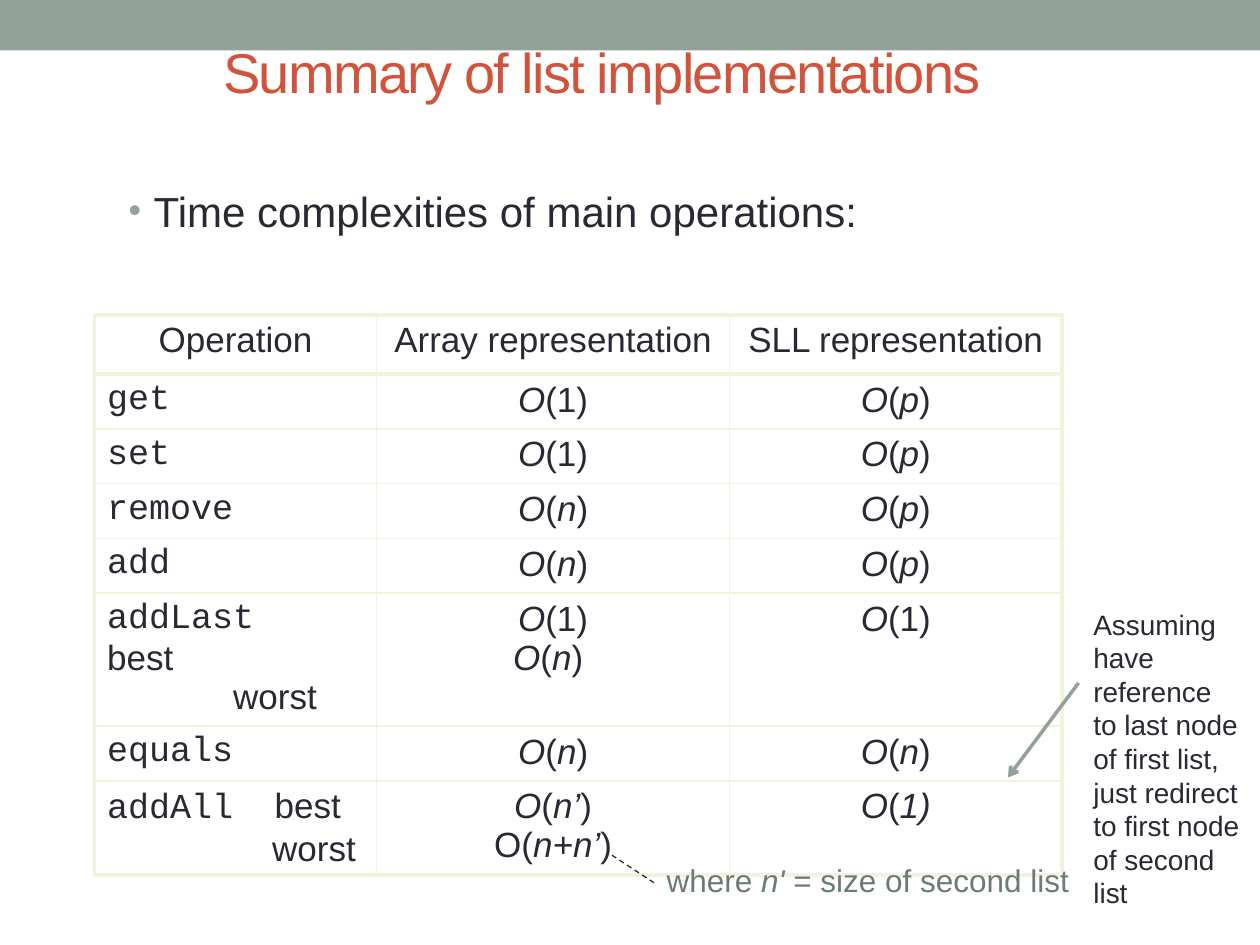
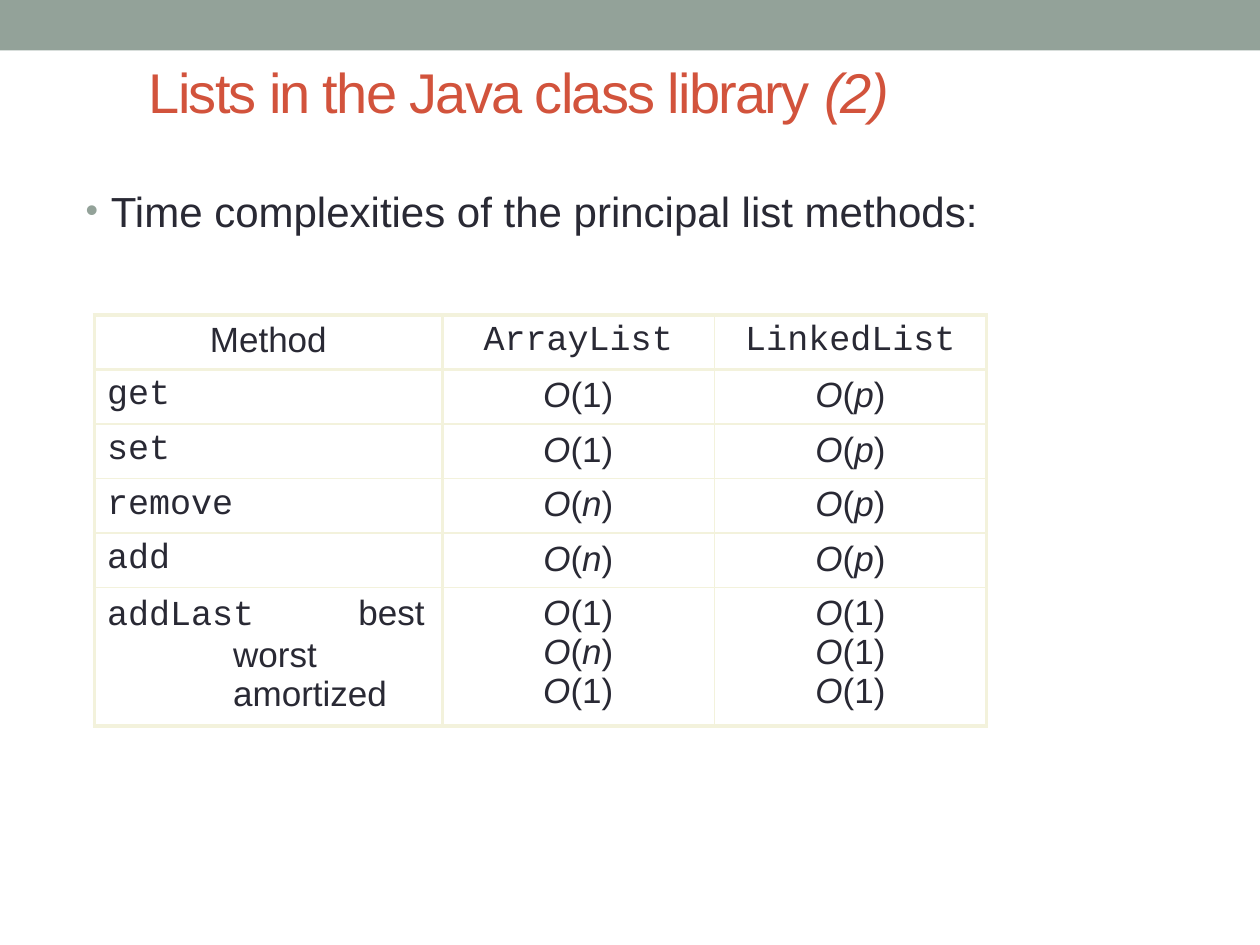
from collections import namedtuple

from lxml import etree
from pptx import Presentation
from pptx.dml.color import RGBColor
from pptx.enum.dml import MSO_LINE
from pptx.enum.shapes import MSO_CONNECTOR, MSO_SHAPE
from pptx.enum.text import MSO_ANCHOR, MSO_AUTO_SIZE, PP_ALIGN
from pptx.oxml.ns import qn
from pptx.util import Emu, Inches, Pt

RECTANGLE = MSO_SHAPE.RECTANGLE
CALLOUT = MSO_SHAPE.LINE_CALLOUT_1_NO_BORDER
STRAIGHT = MSO_CONNECTOR.STRAIGHT
DASH = MSO_LINE.DASH
LEFT, CENTER = PP_ALIGN.LEFT, PP_ALIGN.CENTER
TOP, MIDDLE = MSO_ANCHOR.TOP, MSO_ANCHOR.MIDDLE
NO_AUTOFIT = MSO_AUTO_SIZE.NONE

SANS, MONO = "Arial", "Courier New"
INK, ACCENT, SAGE = "292934", "D2533C", "93A299"
MOSS, RULE, WHITE = "6B7D72", "F3F2DC", "FFFFFF"
THICK, THIN = 2.25, 1

# A line of text with one tab stop, in inches from the text's left edge
Tabbed = namedtuple("Tabbed", "text stop side")


def rgb(hex_code):
    return RGBColor.from_string(hex_code)


def add_xml(parent, tag, **attributes):
    return etree.SubElement(parent, qn(tag), attributes)


class Deck:
    """Holds the style and the current slide; the grid has 100 columns and 75 rows."""

    def __init__(self):
        self.show = Presentation()
        self.show.slide_width, self.show.slide_height = Inches(10), Inches(7.5)
        self.column = self.show.slide_width / 100
        self.row = self.show.slide_height / 75
        self.slide = None

    def place(self, left, top, width, height):
        return (Emu(round(left * self.column)), Emu(round(top * self.row)),
                Emu(round(width * self.column)), Emu(round(height * self.row)))

    def start_slide(self):
        self.slide = self.show.slides.add_slide(self.show.slide_layouts[1])
        band = self.shape(RECTANGLE, 0, 0, 100, 4)
        band.fill.solid()
        band.fill.fore_color.rgb = rgb(SAGE)
        band.line.fill.background()

    def shape(self, kind, *box):
        shape = self.slide.shapes.add_shape(kind, *self.place(*box))
        shape.shadow.inherit = False
        return shape

    def add_runs(self, paragraph, text, size, color=INK, spacing=None):
        """Adds runs; `...` marks code and *...* marks italics."""
        for i, part in enumerate(text.split("`")):
            for j, piece in enumerate(part.split("*")):
                if not piece:
                    continue
                run = paragraph.add_run()
                run.text = piece
                run.font.name = MONO if i % 2 else SANS
                run.font.size = Pt(size)
                run.font.italic = bool(j % 2)
                run.font.color.rgb = rgb(color)
                if spacing:
                    run._r.get_or_add_rPr().set("spc", str(spacing * 100))

    def fill_placeholder(self, holder, box, anchor):
        holder.left, holder.top, holder.width, holder.height = self.place(*box)
        frame = holder.text_frame
        frame.auto_size = NO_AUTOFIT
        frame.vertical_anchor = anchor
        paragraph = frame.paragraphs[0]
        paragraph.alignment = LEFT
        paragraph.space_before = Pt(0)
        return paragraph

    def title(self, text, left, top):
        paragraph = self.fill_placeholder(
            self.slide.shapes.title, (left, top, 67.2, 7.9), MIDDLE)
        self.add_runs(paragraph, text, 32, ACCENT, spacing=-1)

    def bullet(self, text, left):
        paragraph = self.fill_placeholder(
            self.slide.placeholders[1], (left, 14.2, 78.8, 50.4), TOP)
        properties = paragraph._p.get_or_add_pPr()
        properties.set("marL", str(Inches(0.2)))
        properties.set("indent", str(-Inches(0.2)))
        add_xml(add_xml(properties, "a:buClr"), "a:srgbClr", val=SAGE)
        add_xml(properties, "a:buSzPct", val="85000")
        add_xml(properties, "a:buFont", typeface=SANS)
        add_xml(properties, "a:buChar", char="•")
        self.add_runs(paragraph, text, 24)

    def cell(self, cell, lines, alignment, borders):
        properties = cell._tc.get_or_add_tcPr()
        for side, width in borders.items():
            line = add_xml(properties, "a:ln" + side, w=str(Pt(width)))
            add_xml(add_xml(line, "a:solidFill"), "a:srgbClr", val=RULE)
        cell.fill.solid()
        cell.fill.fore_color.rgb = rgb(WHITE)
        cell.vertical_anchor = TOP
        frame = cell.text_frame
        for i, line in enumerate(lines):
            paragraph = frame.add_paragraph() if i else frame.paragraphs[0]
            paragraph.alignment = alignment
            if isinstance(line, Tabbed):
                stops = add_xml(paragraph._p.get_or_add_pPr(), "a:tabLst")
                add_xml(stops, "a:tab", pos=str(Inches(line.stop)), algn=line.side)
                line = line.text
            self.add_runs(paragraph, line, 20)

    def table(self, widths, heights, rows, thick_after_names=False):
        last_row, last_column = len(rows) - 1, len(widths) - 1
        table = self.slide.shapes.add_table(
            len(rows), len(widths),
            *self.place(7.5, 25, sum(widths), sum(heights))).table
        table.first_row = table.horz_banding = False
        for column, width in zip(table.columns, widths):
            column.width = Emu(round(width * self.column))
        for row, height in zip(table.rows, heights):
            row.height = Emu(round(height * self.row))

        # Heavy outer frame and header rule, light inner grid
        heavy_columns = {0, last_column + 1} | ({1} if thick_after_names else set())
        heavy_rows = {0, 1, last_row + 1}

        def weight(edge, heavy):
            return THICK if edge in heavy else THIN

        for r, texts in enumerate(rows):
            for c, text in enumerate(texts):
                borders = {"L": weight(c, heavy_columns),
                           "R": weight(c + 1, heavy_columns),
                           "T": weight(r, heavy_rows),
                           "B": weight(r + 1, heavy_rows)}
                lines = [text] if isinstance(text, str) else text
                self.cell(table.cell(r, c), lines,
                          CENTER if r == 0 or c else LEFT, borders)

    def callout(self, text, box, adjustments):
        callout = self.shape(CALLOUT, *box)
        for i, value in enumerate(adjustments):
            callout.adjustments[i] = value
        callout.fill.background()
        callout.line.color.rgb = rgb(INK)
        callout.line.width = Pt(0.75)
        callout.line.dash_style = DASH
        frame = callout.text_frame
        frame.margin_left = frame.margin_right = 0
        frame.margin_top = frame.margin_bottom = 0
        frame.vertical_anchor = TOP
        paragraph = frame.paragraphs[0]
        paragraph.alignment = LEFT
        paragraph.line_spacing = Pt(18)
        self.add_runs(paragraph, text, 18, MOSS)

    def note(self, text, *box):
        frame = self.slide.shapes.add_textbox(*self.place(*box)).text_frame
        frame.word_wrap = True
        self.add_runs(frame.paragraphs[0], text, 16)

    def arrow(self, *ends):
        arrow = self.slide.shapes.add_connector(STRAIGHT, *self.place(*ends))
        arrow.line.color.rgb = rgb(SAGE)
        arrow.line.width = Pt(2)
        properties = arrow._element.spPr
        add_xml(properties.find(qn("a:ln")), "a:tailEnd", type="arrow")
        add_xml(properties, "a:effectLst")


# Complexities used in both tables
O_1, O_N, O_P = "*O*(1)", "*O*(*n*)", "*O*(*p*)"
BASIC_ROWS = [["`get`", O_1, O_P], ["`set`", O_1, O_P],
              ["`remove`", O_N, O_P], ["`add`", O_N, O_P]]


def list_implementations(deck):
    deck.start_slide()
    deck.title("Summary of list implementations", 16.7, 1.7)
    deck.bullet("Time complexities of main operations:", 9.2)
    deck.table(
        [22.4, 28, 26.4], [4.7] + [4.35] * 4 + [10.55, 4.35, 7.4],
        [["Operation", "Array representation", "SLL representation"],
         *BASIC_ROWS,
         [["`addLast`", "best", Tabbed("\tworst", 1, "l")],
          [O_1, O_N + " "], O_1],
         ["`equals`", O_N, O_N],
         [[Tabbed("`addAll`\tbest", 1.33, "l"), Tabbed("\tworst", 1.31, "l")],
          ["*O*(*n’*)", "O(*n+n’*)"], "*O*(*1)*"]])
    deck.callout("where *n'* = size of second list", (52.9, 68.8, 33.1, 3.5),
                 (0.36, -0.03, -0.32, -0.14))
    deck.note("Assuming have reference to last node of first list, "
              "just redirect to first node of second list",
              85.8, 47.7, 13.6, 25.2)
    deck.arrow(85.6, 54.2, 80, 61.7)


def class_library(deck):
    deck.start_slide()
    deck.title("Lists in the Java class library *(2)*", 10.8, 3.3)
    deck.bullet("Time complexities of the principal list methods:", 5.8)
    deck.table(
        [27.6, 21.6, 21.6], [4.33] * 5 + [11],
        [["Method", "`ArrayList`", "`LinkedList`"],
         *BASIC_ROWS,
         [[Tabbed("`addLast`\tbest", 2.52, "r"), Tabbed("\tworst", 1, "l"),
           Tabbed("\tamortized", 1, "l")],
          [O_1, O_N, O_1], [O_1] * 3]],
        thick_after_names=True)


def main():
    deck = Deck()
    list_implementations(deck)
    class_library(deck)
    deck.show.save("out.pptx")


if __name__ == "__main__":
    main()
